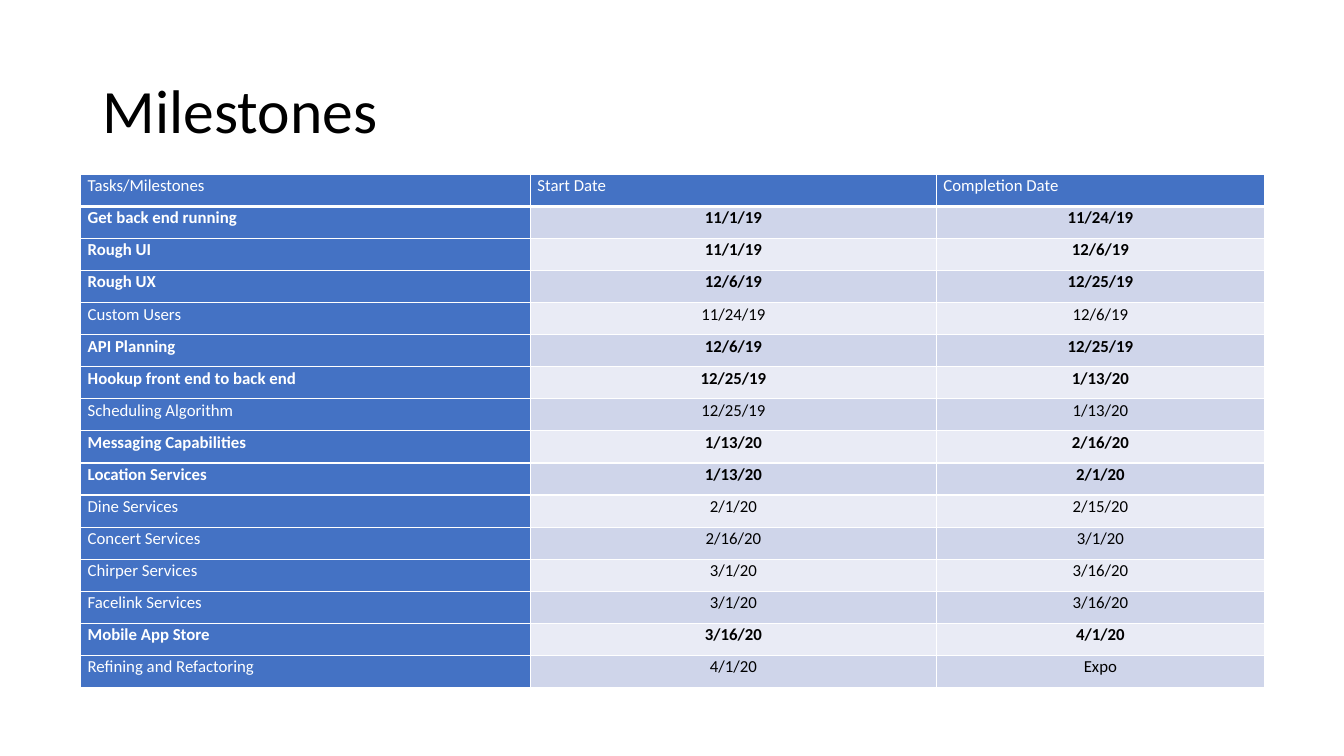
from lxml.etree import SubElement
from pptx import Presentation
from pptx.dml.color import RGBColor
from pptx.enum.text import MSO_ANCHOR as ANCHOR, PP_ALIGN as ALIGN
from pptx.oxml.ns import qn
from pptx.util import Inches, Pt

FONT = "Calibri"
BLUE, WHITE, BLACK = "4472C4", "FFFFFF", "000000"
BANDS = ["CFD5EA", "E9EBF5"]
HEADERS = ["Tasks/Milestones", "Start Date", "Completion Date"]
MILESTONES = [
    ("Get back end running", "11/1/19", "11/24/19", True),
    ("Rough UI", "11/1/19", "12/6/19", True),
    ("Rough UX", "12/6/19", "12/25/19", True),
    ("Custom Users", "11/24/19", "12/6/19", False),
    ("API Planning", "12/6/19", "12/25/19", True),
    ("Hookup front end to back end", "12/25/19", "1/13/20", True),
    ("Scheduling Algorithm", "12/25/19", "1/13/20", False),
    ("Messaging Capabilities", "1/13/20", "2/16/20", True),
    ("Location Services", "1/13/20", "2/1/20", True),
    ("Dine Services", "2/1/20", "2/15/20", False),
    ("Concert Services", "2/16/20", "3/1/20", False),
    ("Chirper Services", "3/1/20", "3/16/20", False),
    ("Facelink Services", "3/1/20", "3/16/20", False),
    ("Mobile App Store", "3/16/20", "4/1/20", True),
    ("Refining and Refactoring", "4/1/20", "Expo", False),
]


def rgb(value):
    return RGBColor.from_string(value)


def add_run(p, text, size, color, bold=False):
    r = p.add_run()
    r.text = text
    r.font.name = FONT
    r.font.size = Pt(size)
    r.font.bold = bold
    r.font.color.rgb = rgb(color)


def set_borders(cell, bottom):
    tc_pr = cell._tc.get_or_add_tcPr()
    for side, width in (("L", 1), ("R", 1), ("T", 1), ("B", bottom)):
        ln = SubElement(tc_pr, qn(f"a:ln{side}"), w=str(Pt(width)))
        fill = SubElement(ln, qn("a:solidFill"))
        SubElement(fill, qn("a:srgbClr"), val=WHITE)


def fill_cell(cell, text, fill, color, align, bold=False, bottom=1):
    set_borders(cell, bottom)
    cell.fill.solid()
    cell.fill.fore_color.rgb = rgb(fill)
    cell.margin_left = cell.margin_right = Inches(0.07)
    cell.margin_top = cell.margin_bottom = 0
    p = cell.text_frame.paragraphs[0]
    p.alignment = align
    p.line_spacing = 1.07
    add_run(p, text, 12, color, bold)


def add_title(s, x, y, w, h):
    sp = s.shapes.title
    sp.left, sp.top, sp.width, sp.height = map(Inches, (x, y, w, h))
    tf = sp.text_frame
    tf.word_wrap = True
    tf.vertical_anchor = ANCHOR.MIDDLE
    p = tf.paragraphs[0]
    p.alignment = ALIGN.LEFT
    p.line_spacing = 0.9
    add_run(p, "Milestones", 44, BLACK)


def add_schedule(s, x, y, w, h):
    n_rows = len(MILESTONES) + 1
    table = s.shapes.add_table(n_rows, len(HEADERS), *map(Inches, (x, y, w, h))).table
    table.first_row = table.horz_banding = False
    for col, share in zip(table.columns, (0.38, 0.343, 0.277)):
        col.width = Inches(w * share)
    for row in table.rows:
        row.height = Inches(h / n_rows)
    for c, header in enumerate(HEADERS):
        fill_cell(table.cell(0, c), header, BLUE, WHITE, ALIGN.LEFT, bottom=3)
    for i, (task, start, end, bold) in enumerate(MILESTONES):
        fill_cell(table.cell(i + 1, 0), task, BLUE, WHITE, ALIGN.LEFT, bold)
        for c, date in enumerate((start, end), 1):
            fill_cell(table.cell(i + 1, c), date, BANDS[i % 2], BLACK, ALIGN.CENTER, bold)


prs = Presentation()
prs.slide_width, prs.slide_height = Inches(13.33), Inches(7.5)
s = prs.slides.add_slide(prs.slide_layouts[5])
add_title(s, 0.92, 0.4, 11.5, 1.45)
add_schedule(s, 0.8, 1.73, 11.74, 5.09)
prs.save("out.pptx")
